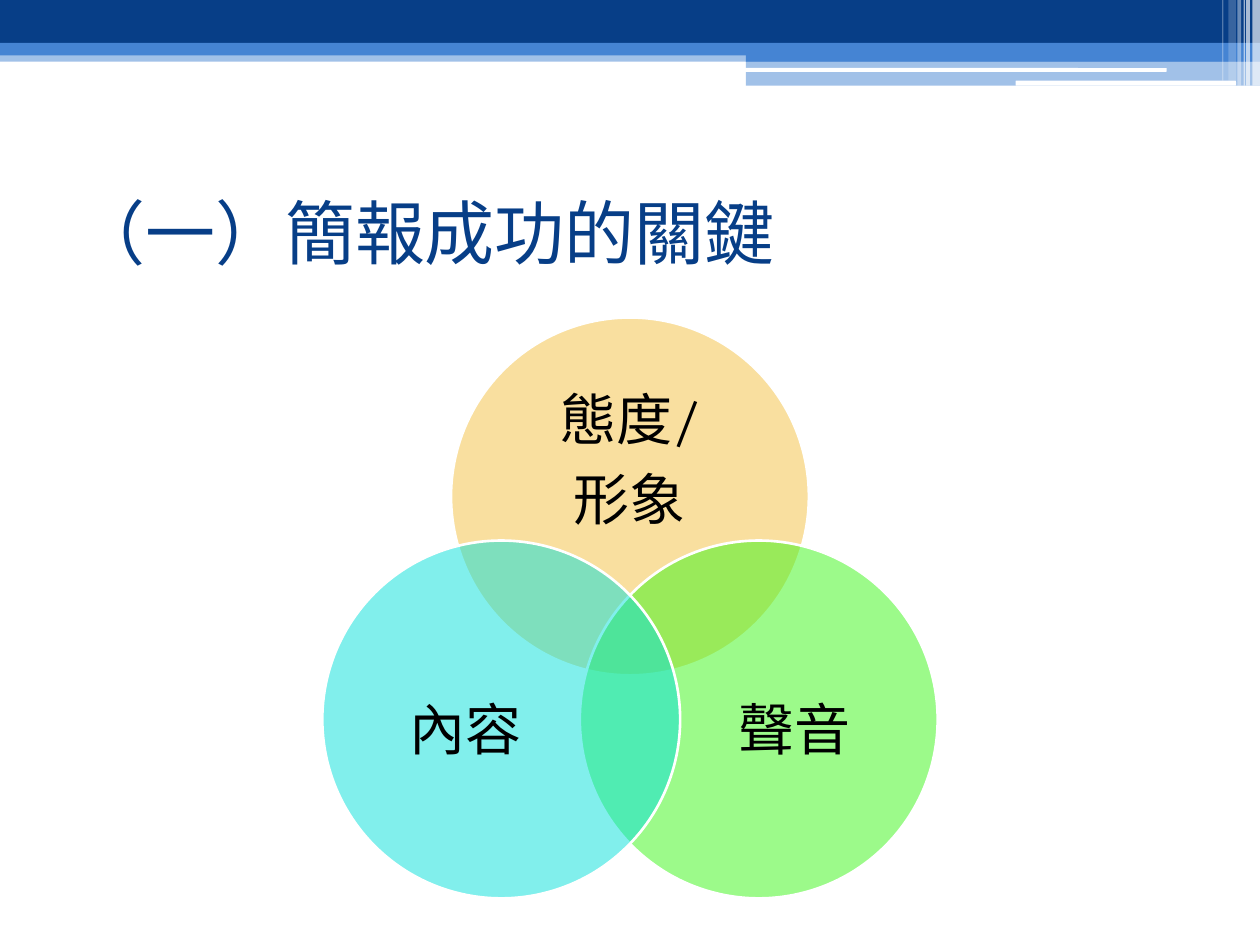
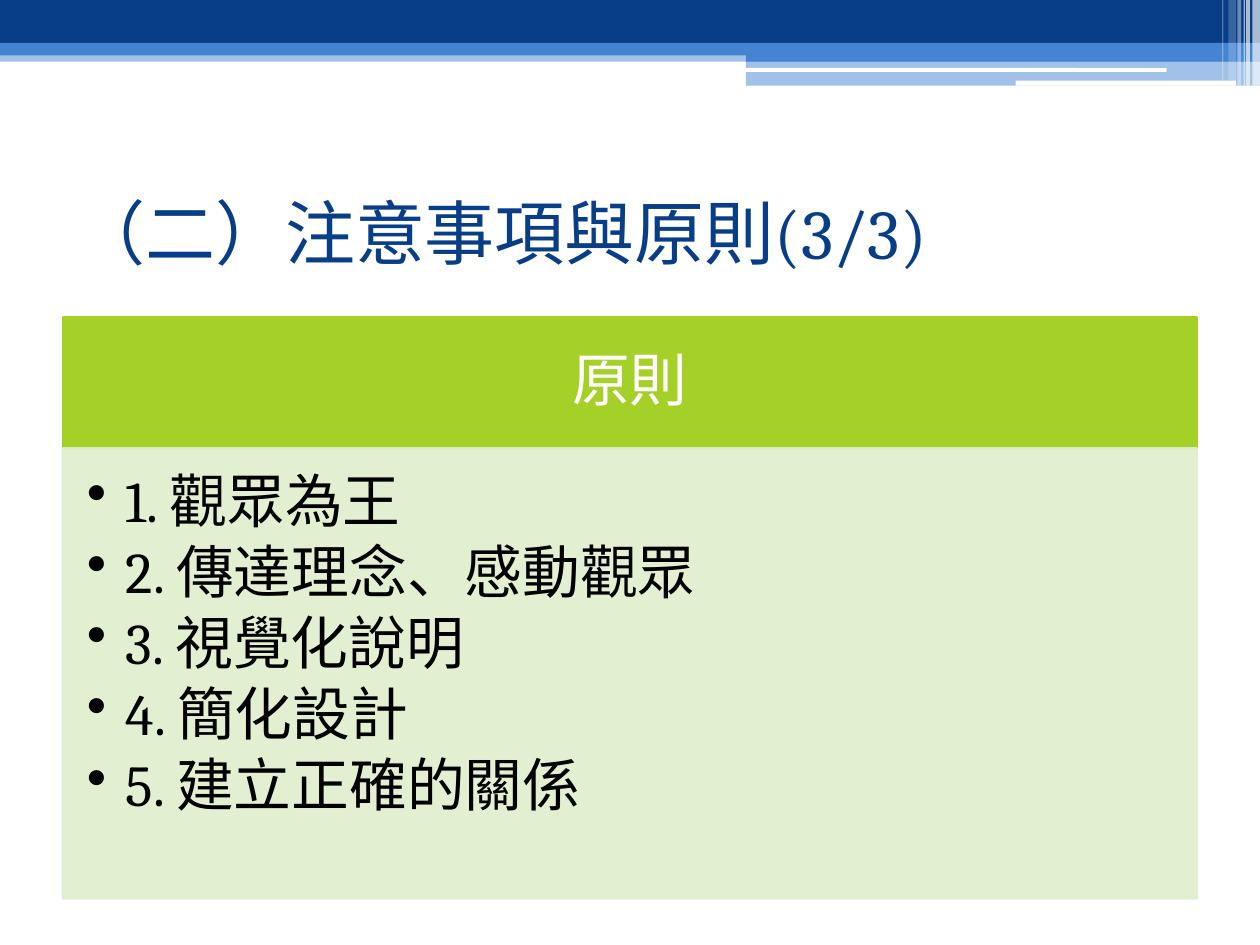
from dataclasses import dataclass
from math import cos, radians, sin
from typing import NamedTuple

from lxml.etree import SubElement
from pptx import Presentation
from pptx.dml.color import RGBColor
from pptx.enum.shapes import MSO_SHAPE as Geo
from pptx.enum.text import MSO_ANCHOR as Anchor, PP_ALIGN as Align
from pptx.oxml.ns import qn
from pptx.util import Emu, Inches, Pt

NAVY, BLUE, WHITE, BLACK = "073E87", "4584D3", "FFFFFF", "000000"
GOLD, GREEN, CYAN = "F5C040", "3AF617", "05E0DB"
LIME, PALE = "A5D028", "E1EECD"
FONT = "Cambria"

prs = Presentation()
prs.slide_width, prs.slide_height = Inches(10), Inches(7.5)
COLS, ROWS = 100, 75
COL, ROW = prs.slide_width / COLS, prs.slide_height / ROWS


class Box(NamedTuple):
    """Left, top, width and height in grid columns and rows."""
    x: float
    y: float
    w: float
    h: float

    def emu(self) -> list[Emu]:
        """Return the box in slide units."""
        return [Emu(round(v * u)) for v, u in zip(self, (COL, ROW, COL, ROW))]

    def share(self, x: float, y: float, w: float, h: float) -> "Box":
        """Return the box that takes the given shares of this one."""
        return Box(self.x + x * self.w, self.y + y * self.h, w * self.w, h * self.h)


@dataclass(frozen=True)
class Band:
    """A piece of the header decoration."""
    box: Box
    color: str
    alpha: int = 100
    geo: Geo = Geo.RECTANGLE


@dataclass(frozen=True)
class Style:
    """How a block of text is set."""
    size: float
    color: str = BLACK
    align: Align = Align.CENTER
    anchor: Anchor = Anchor.MIDDLE
    insets: tuple[float, ...] = (0, 0, 0, 0)
    spacing: float = 0.9
    after: float = 0
    hang: float = 0


@dataclass(frozen=True)
class Circle:
    """One circle of the Venn diagram and the share its label takes."""
    lines: tuple[str, ...]
    color: str
    angle: float
    label: tuple[float, float, float, float]


BANDS = [
    Band(Box(0, 4, COLS, 0.9), BLUE, 50),
    Band(Box(0, 0, COLS, 3.4), NAVY),
    Band(Box(0, 3.4, COLS, 1), BLUE),
    Band(Box(59.2, 3.9, 40.8, 1), BLUE),
    Band(Box(59.2, 4.85, 40.8, 1.95), BLUE, 50),
    Band(Box(59.1, 5.4, 33.5, 0.3), WHITE, geo=Geo.ROUNDED_RECTANGLE),
    Band(Box(80.6, 6.4, 17.5, 0.4), WHITE, geo=Geo.ROUNDED_RECTANGLE),
    *(Band(Box(x, 0, w, h), WHITE, alpha) for x, w, h, alpha in (
        (99.4, 0.6, 6.8, 65), (98.9, 0.3, 6.8, 65), (98.7, 0.1, 6.8, 60),
        (98.2, 0.3, 6.8, 40), (97.5, 0.6, 6.4, 20), (97, 0.1, 6.4, 30))),
]
TITLE_BOX = Box(5, 12.5, 90, 11.7)
TITLE = Style(40, NAVY, Align.LEFT, insets=(0.1, 0.05, 0.1, 0.05), spacing=1)
LABEL = Style(32, after=11.2)
HEADING = Style(33, WHITE, insets=(0.26, 0.15, 0.26, 0.15), after=11.55)
LIST = Style(33, align=Align.LEFT, anchor=Anchor.TOP,
             insets=(0.19, 0.19, 0.26, 0.29), after=4.95, hang=0.31)

DIAMETER, ORBIT = 28.4, 11.8
CENTER_X, CENTER_Y = 50, 51.2
CIRCLES = [
    Circle(("態度/", "形象"), GOLD, -90, (0.13, 0.18, 0.74, 0.45)),
    Circle(("聲音",), GREEN, 30, (0.3, 0.26, 0.6, 0.55)),
    Circle(("內容",), CYAN, 150, (0.1, 0.26, 0.6, 0.55)),
]
HEADING_BOX = Box(5, 25.2, 90, 10.4)
LIST_BOX = Box(5, 35.6, 90, 35.7)
PRINCIPLES = ["觀眾為王", "傳達理念、感動觀眾", "視覺化說明", "簡化設計", "建立正確的關係"]


def rgb(color: str) -> RGBColor:
    """Turn a hex string into a colour."""
    return RGBColor.from_string(color)


def paint(fill, color: str, alpha: int = 100) -> None:
    """Give a fill a solid colour with the given opacity in percent."""
    fill.solid()
    fill.fore_color.rgb = rgb(color)
    if alpha < 100:
        clr = fill._xPr.find(qn("a:solidFill"))[0]
        SubElement(clr, qn("a:alpha"), val=str(alpha * 1000))


def add_shape(s, geo: Geo, box: Box, color: str, alpha: int = 100,
              line: str = "", line_alpha: int = 100):
    """Draw a filled preset shape, outlined if a line colour is given."""
    sp = s.shapes.add_shape(geo, *box.emu())
    sp.shadow.inherit = False
    paint(sp.fill, color, alpha)
    if line:
        sp.line.width = Pt(1.5)
        paint(sp.line.fill, line, line_alpha)
    else:
        sp.line.fill.background()
    return sp


def write(sp, lines: list[str], style: Style) -> None:
    """Set lines of text in a shape, one paragraph each."""
    tf = sp.text_frame
    sides = ("margin_left", "margin_top", "margin_right", "margin_bottom")
    frame = dict(zip(sides, map(Inches, style.insets)))
    for name, value in (frame | {"word_wrap": True, "vertical_anchor": style.anchor}).items():
        setattr(tf, name, value)
    for i, text in enumerate(lines):
        p = tf.paragraphs[0] if i == 0 else tf.add_paragraph()
        layout = {"alignment": style.align, "line_spacing": style.spacing,
                  "space_after": Pt(style.after)}
        for name, value in layout.items():
            setattr(p, name, value)
        if style.hang:
            pPr = p._p.get_or_add_pPr()
            pPr.set("marL", str(Inches(style.hang)))
            pPr.set("indent", str(-Inches(style.hang)))
            SubElement(pPr, qn("a:buChar"), char="•")
        r = p.add_run()
        r.text = text
        for name, value in {"size": Pt(style.size), "name": FONT}.items():
            setattr(r.font, name, value)
        r.font.color.rgb = rgb(style.color)


def add_text(s, box: Box, lines: list[str], style: Style) -> None:
    """Add a text box."""
    write(s.shapes.add_textbox(*box.emu()), lines, style)


def add_slide(title: str):
    """Add a slide with the header bands and a title."""
    s = prs.slides.add_slide(prs.slide_layouts[6])
    for band in BANDS:
        add_shape(s, band.geo, band.box, band.color, band.alpha)
    add_text(s, TITLE_BOX, [title], TITLE)
    return s


def add_venn(s, circles: list[Circle]) -> None:
    """Draw overlapping labelled circles around a common centre."""
    for c in circles:
        turn = radians(c.angle)
        box = Box(CENTER_X + ORBIT * cos(turn) - DIAMETER / 2,
                  CENTER_Y + ORBIT * sin(turn) - DIAMETER / 2, DIAMETER, DIAMETER)
        add_shape(s, Geo.OVAL, box, c.color, 50, WHITE)
        add_text(s, box.share(*c.label), list(c.lines), LABEL)


def add_card(s, heading: str, items: list[str]) -> None:
    """Draw a heading bar above a panel with a numbered, bulleted list."""
    bar = add_shape(s, Geo.RECTANGLE, HEADING_BOX, LIME, line=LIME)
    write(bar, [heading], HEADING)
    panel = add_shape(s, Geo.RECTANGLE, LIST_BOX, PALE, 90, PALE, 90)
    write(panel, [f"{n}. {item}" for n, item in enumerate(items, 1)], LIST)


add_venn(add_slide("（一）簡報成功的關鍵"), CIRCLES)
add_card(add_slide("（二）注意事項與原則(3/3)"), "原則", PRINCIPLES)
prs.save("out.pptx")
